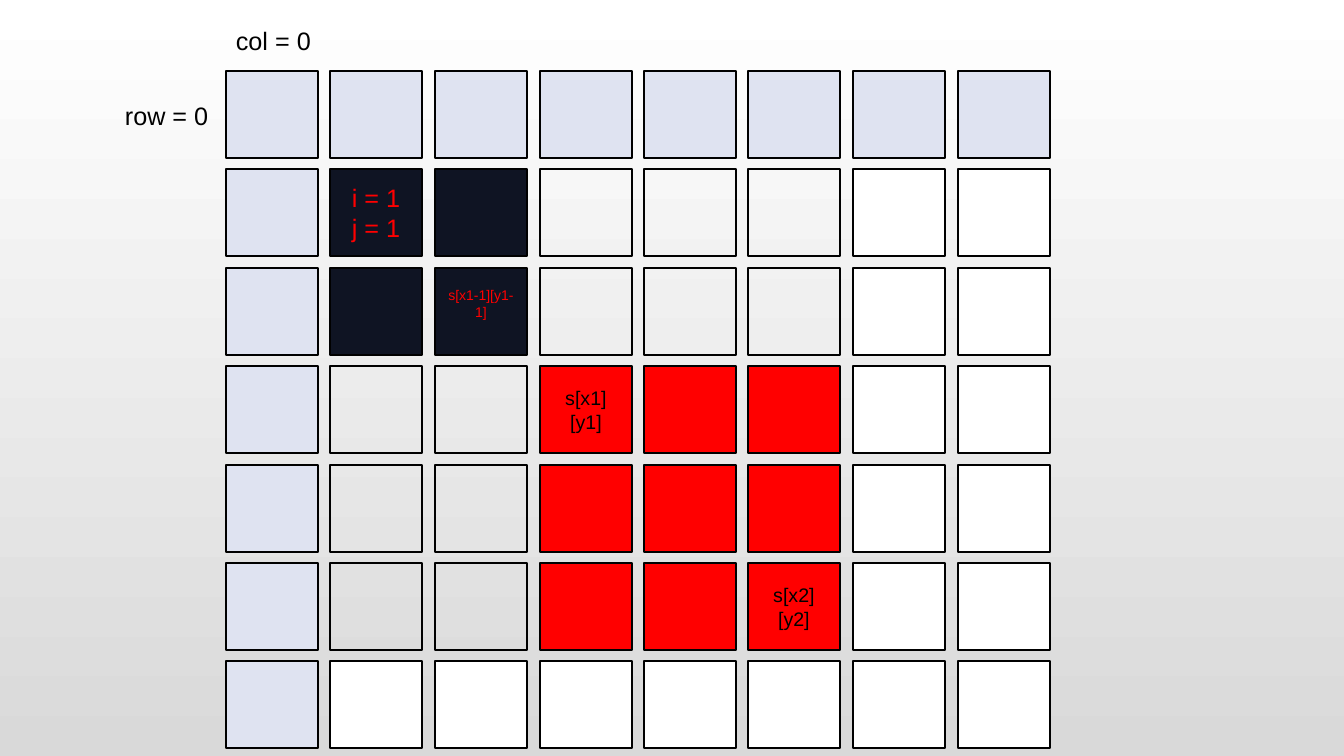
from pptx import Presentation
from pptx import util as u
from pptx.dml import color
from pptx.enum import shapes, text

# One letter per cell: h header, d dark, r red, w white, . unfilled
GRID = [
    "hhhhhhhh",
    "hdd...ww",
    "hdd...ww",
    "h..rrrww",
    "h..rrrww",
    "h..rrrww",
    "hwwwwwww",
]
COLORS = {
    "h": "DFE3F1", "d": "0F1423", "r": "FF0000", "w": "FFFFFF",
    "ink": "000000", "top": "FFFFFF", "bottom": "D9D9D9",
}
# (row, column): words, size, colour, bottom inset
CELL_TEXT = {
    (1, 1): ("i = 1\nj = 1", 18, "r", 5),
    (2, 2): ("s[x1-1][y1-1]", 10, "r", 21),
    (3, 3): ("s[x1][y1]", 14, "ink", 5),
    (5, 5): ("s[x2][y2]", 14, "ink", 5),
}
# words, left, top, width, height
AXIS_LABELS = [
    ("row = 0", 115, 95, 118, 40),
    ("col = 0", 226, 20, 105, 40),
]
LEFT, TOP = 226, 71
CELL_W, CELL_H = 92, 87
STEP_X, STEP_Y = 104.5, 98.4
FONT = "Arial"


def px(length):
    """Turn pixels into EMU."""
    return u.Emu(round(length * 914400 / 100.8))


def rgb(name):
    """Look up a named colour."""
    return color.RGBColor.from_string(COLORS[name])


def write(shape, words, size, ink, align, **frame_format):
    """Put formatted words into a shape."""
    frame = shape.text_frame
    frame.text = words
    for name, value in {"word_wrap": True, **frame_format}.items():
        setattr(frame, name, value)
    for para in frame.paragraphs:
        para.alignment = align
        for span in para.runs:
            for name, value in {"name": FONT, "size": u.Pt(size)}.items():
                setattr(span.font, name, value)
            span.font.color.rgb = rgb(ink)


def add_cell(parent, row, column, kind):
    """Draw one matrix cell."""
    box = parent.shapes.add_shape(
        shapes.MSO_SHAPE.RECTANGLE,
        px(round(LEFT + column * STEP_X)), px(round(TOP + row * STEP_Y)),
        px(CELL_W), px(CELL_H))
    box.shadow.inherit = False
    box.line.color.rgb = rgb("ink")
    box.line.width = u.Pt(1)
    if kind == ".":
        box.fill.background()
    else:
        box.fill.solid()
        box.fill.fore_color.rgb = rgb(kind)
    if (row, column) in CELL_TEXT:
        words, size, ink, inset = CELL_TEXT[row, column]
        write(box, words, size, ink, text.PP_ALIGN.CENTER,
              vertical_anchor=text.MSO_ANCHOR.MIDDLE, margin_bottom=px(inset))


def paint_background(page):
    """Fill the page with a vertical gradient."""
    fill = page.background.fill
    fill.gradient()
    fill.gradient_angle = 270
    for stop, name, position in zip(fill.gradient_stops, ("top", "bottom"), (0, 1)):
        stop.color.rgb = rgb(name)
        stop.position = position


deck = Presentation()
deck.slide_width, deck.slide_height = px(1344), px(756)
page = deck.slides.add_slide(deck.slide_layouts[6])
paint_background(page)

matrix = page.shapes.add_group_shape()
for row, kinds in enumerate(GRID):
    for column, kind in enumerate(kinds):
        add_cell(matrix, row, column, kind)

for words, *place in AXIS_LABELS:
    label = page.shapes.add_textbox(*map(px, place))
    write(label, words, 18, "ink", text.PP_ALIGN.LEFT)

deck.save("out.pptx")
